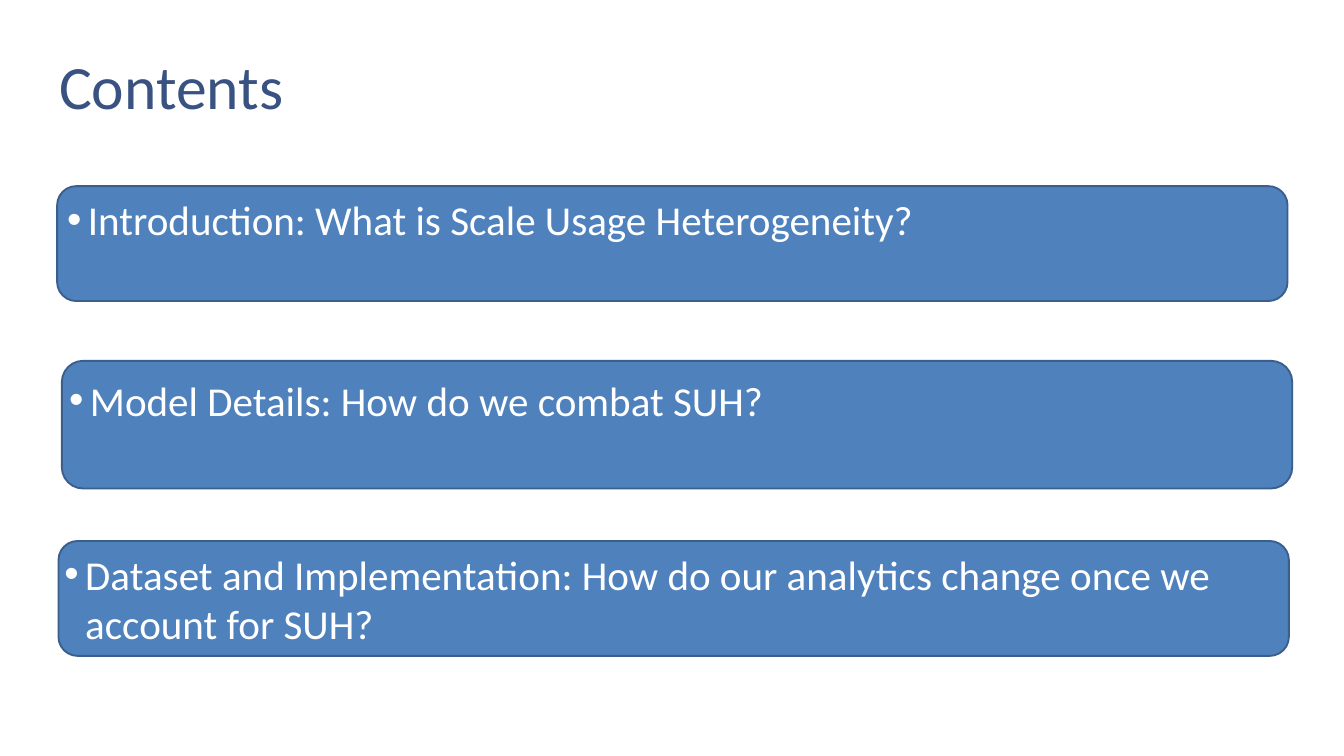
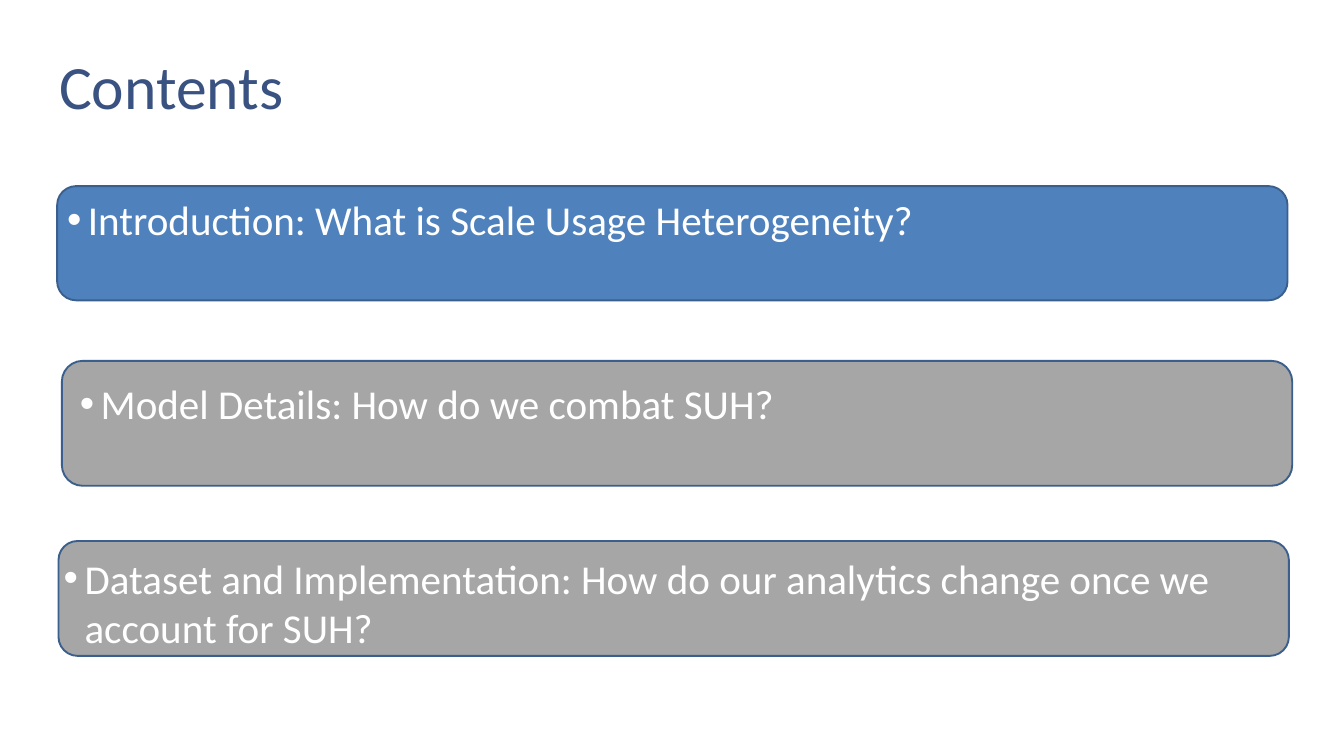
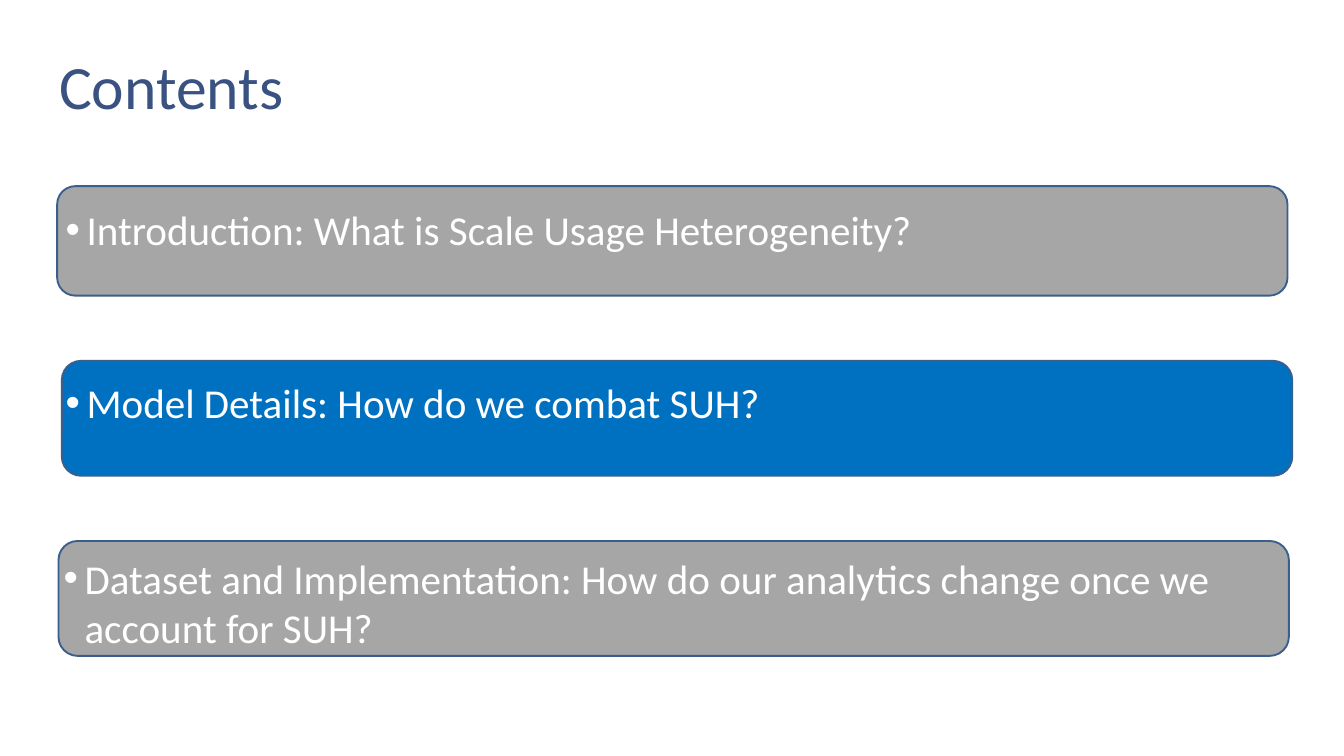
from dataclasses import dataclass
from typing import NamedTuple

from lxml.etree import SubElement
from pptx import Presentation
from pptx.dml.color import RGBColor as Rgb
from pptx.enum.shapes import MSO_SHAPE as Preset
from pptx.enum.text import MSO_AUTO_SIZE as AutoSize
from pptx.oxml.ns import qn
from pptx.util import Inches, Pt

WIDTH, HEIGHT = Inches(20), Inches(11.25)


@dataclass(frozen=True)
class Theme:
    font: str = "Calibri"
    heading: str = "395281"
    on_bar: str = "FFFFFF"
    listed: str = "4F81BD"
    current: str = "0070C0"
    muted: str = "A6A6A6"
    outline: str = "3A5F8C"
    heading_size: float = 66
    heading_leading: float = 93.1
    topic_size: float = 44
    outline_width: float = 2
    bullet_indent: float = 0.31


THEME = Theme()


class Box(NamedTuple):
    """Left, top, width and height in percent of the slide."""
    left: float
    top: float
    width: float
    height: float

    def emu(self) -> tuple[int, ...]:
        sides = (WIDTH, HEIGHT, WIDTH, HEIGHT)
        return tuple(round(share * side / 100) for share, side in zip(self, sides))


class Topic(NamedTuple):
    text: str
    bar_left: float
    bar_top: float
    label_width: float
    label_height: float


class State(NamedTuple):
    fill: str
    bar_height: float
    label_left: float
    label_top: float


BAR_WIDTH = 91.55
HEADING_BOX = Box(4.4, 4.62, 100, 10.58)

INTRODUCTION = Topic("Introduction: What is Scale Usage Heterogeneity?", 4.25, 24.62, 69.35, 7.47)
MODEL = Topic("Model Details: How do we combat SUH?", 4.6, 47.73, 91.5, 7.47)
DATASET = Topic(
    "Dataset and Implementation: How do our analytics change once we account for SUH?",
    4.35, 71.56, 91.55, 14.04,
)
TOPICS = (DATASET, MODEL, INTRODUCTION)

MUTED_DATASET = State(THEME.muted, 15.2, 4.25, 72.71)
AGENDAS = (
    (
        State(THEME.listed, 15.2, 4.3, 72.18),
        State(THEME.listed, 16.89, 4.65, 49.16),
        State(THEME.listed, 15.2, 4.5, 25.33),
    ),
    (
        MUTED_DATASET,
        State(THEME.muted, 16.53, 5.45, 49.6),
        State(THEME.listed, 15.11, 4.5, 25.33),
    ),
    (
        MUTED_DATASET,
        State(THEME.current, 15.2, 4.4, 49.51),
        State(THEME.muted, 14.49, 4.4, 26.67),
    ),
)


def add_text(slide, text: str, box: Box, *, size: float, color: str,
             leading: float | None = None, bullet: bool = False,
             inset: bool = True) -> None:
    frame = slide.shapes.add_textbox(*box.emu()).text_frame
    frame.word_wrap = True
    frame.auto_size = AutoSize.SHAPE_TO_FIT_TEXT
    if not inset:
        frame.margin_left = frame.margin_right = 0
        frame.margin_top = frame.margin_bottom = 0
    paragraph = frame.paragraphs[0]
    if leading:
        paragraph.line_spacing = Pt(leading)
    if bullet:
        indent = Inches(THEME.bullet_indent)
        properties = paragraph._p.get_or_add_pPr()
        properties.set("marL", str(indent))
        properties.set("indent", str(-indent))
        SubElement(properties, qn("a:buFont"), typeface="Arial")
        SubElement(properties, qn("a:buChar"), char="•")
    run = paragraph.add_run()
    run.text = text
    run.font.name = THEME.font
    run.font.size = Pt(size)
    run.font.color.rgb = Rgb.from_string(color)


def add_bar(slide, topic: Topic, state: State) -> None:
    box = Box(topic.bar_left, topic.bar_top, BAR_WIDTH, state.bar_height)
    bar = slide.shapes.add_shape(Preset.ROUNDED_RECTANGLE, *box.emu())
    bar.shadow.inherit = False
    bar.fill.solid()
    bar.fill.fore_color.rgb = Rgb.from_string(state.fill)
    bar.line.color.rgb = Rgb.from_string(THEME.outline)
    bar.line.width = Pt(THEME.outline_width)


def add_label(slide, topic: Topic, state: State) -> None:
    box = Box(state.label_left, state.label_top, topic.label_width, topic.label_height)
    add_text(slide, topic.text, box, size=THEME.topic_size, color=THEME.on_bar, bullet=True)


def add_agenda(deck, states: tuple[State, ...]) -> None:
    slide = deck.slides.add_slide(deck.slide_layouts[6])
    for topic, state in zip(TOPICS, states):
        add_bar(slide, topic, state)
    add_text(slide, "Contents", HEADING_BOX, size=THEME.heading_size,
             color=THEME.heading, leading=THEME.heading_leading, inset=False)
    for topic, state in zip(TOPICS, states):
        add_label(slide, topic, state)


def main() -> None:
    deck = Presentation()
    deck.slide_width, deck.slide_height = WIDTH, HEIGHT
    for states in AGENDAS:
        add_agenda(deck, states)
    deck.save("out.pptx")


if __name__ == "__main__":
    main()
